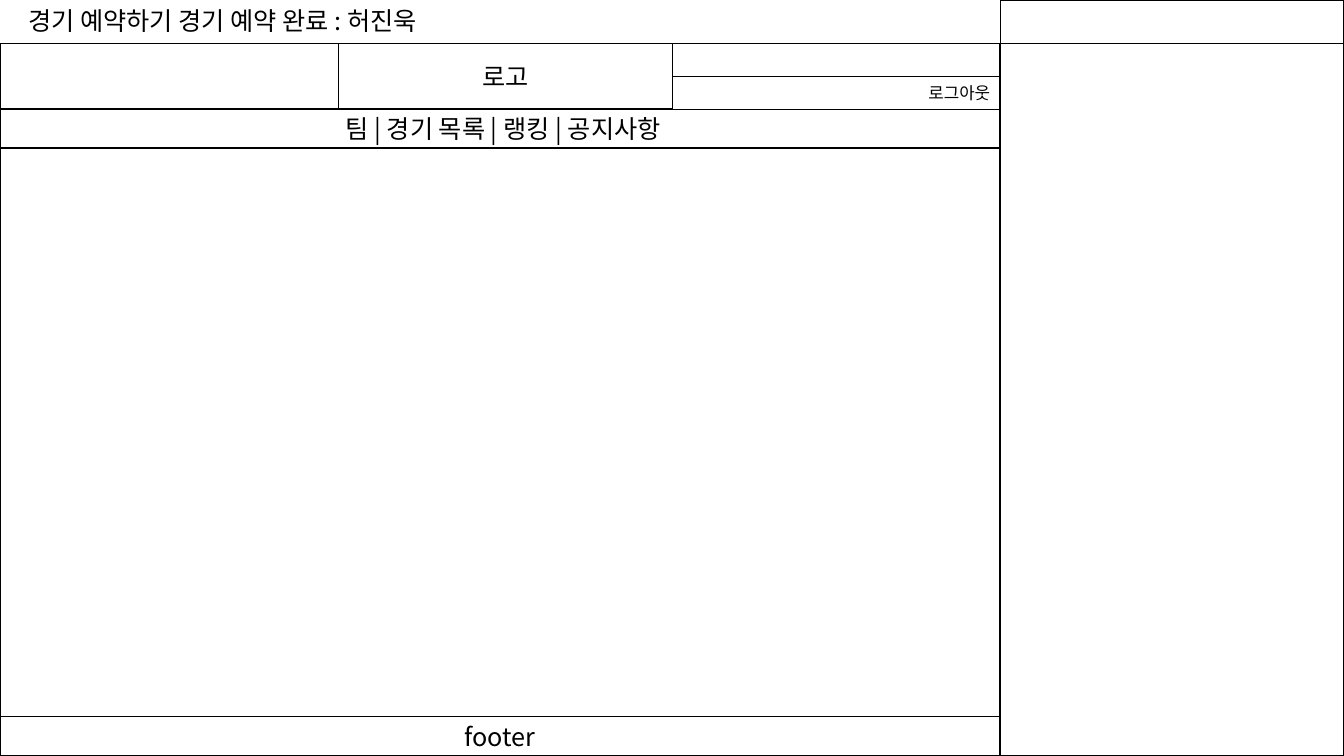
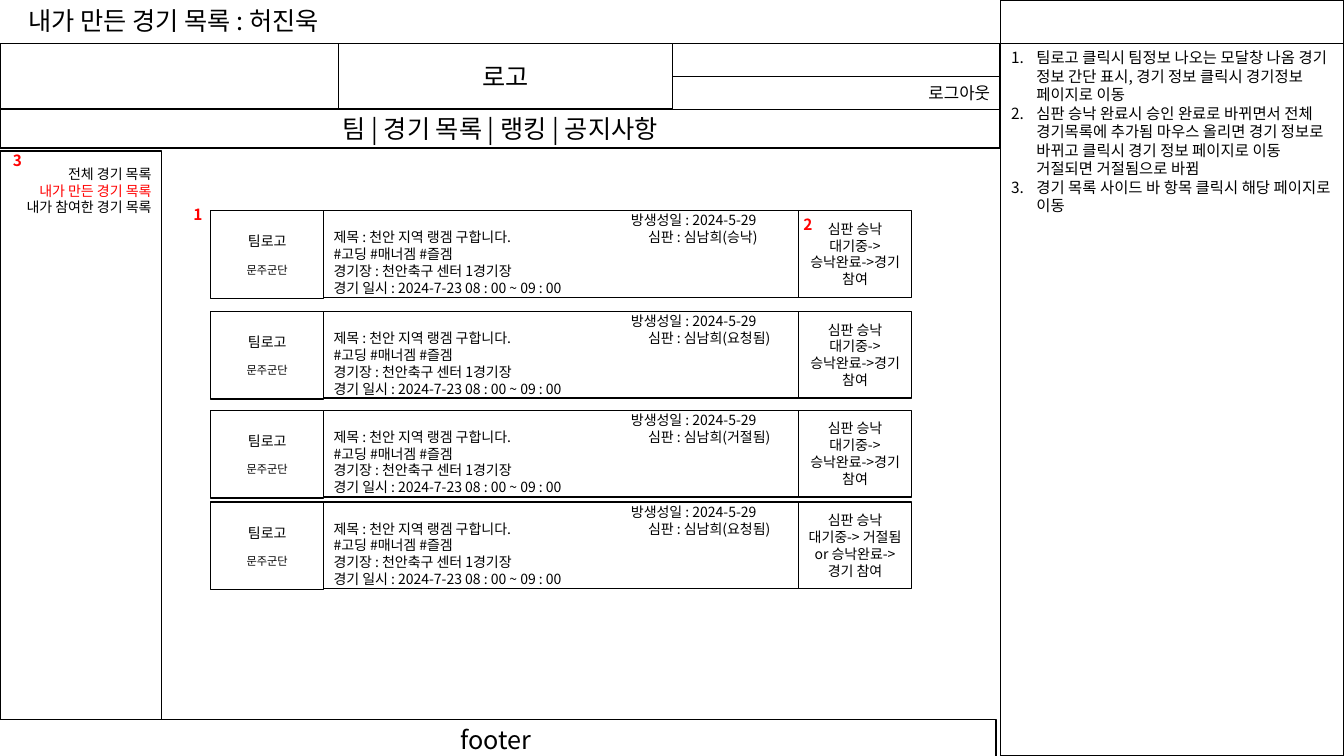
import lxml.etree
import pptx
import pptx.dml.color
import pptx.enum.shapes
import pptx.enum.text
import pptx.oxml.ns
import pptx.util

FONT = "Noto Sans CJK KR"
COLORS = {"ink": "000000", "paper": "FFFFFF", "accent": "FF0000"}
ALIGN = pptx.enum.text.PP_ALIGN
ANCHOR = pptx.enum.text.MSO_ANCHOR

WIDTH, HEIGHT = 13.33, 7.5
MAIN = 9.92
SIDE = WIDTH - MAIN
BAR = 0.43
LOGO = (3.36, 3.31)
HEADER = 0.65
MENU_TOP = BAR + HEADER
MENU = 0.39
BODY_TOP = MENU_TOP + MENU
BODY = 5.64
SIDEBAR = 1.6

MENU_TEXT = "팀 | 경기 목록 | 랭킹 | 공지사항"
PAGES = [
    {"title": "경기 예약하기 경기 예약 완료 : 허진욱",
     "menu_shift": 0.06, "footer": (0, 7.11)},
    {"title": "내가 만든 경기 목록 : 허진욱",
     "menu_shift": 0, "footer": (-0.04, 7.14)},
]

NOTES = [
    "팀로고 클릭시 팀정보 나오는 모달창 나옴 경기 정보 간단 표시, 경기 정보 클릭시 경기정보 페이지로 이동",
    "심판 승낙 완료시 승인 완료로 바뀌면서 전체 경기목록에 추가됨 마우스 올리면 경기 정보로 "
    "바뀌고 클릭시 경기 정보 페이지로 이동 거절되면 거절됨으로 바뀜",
    "경기 목록 사이드 바 항목 클릭시 해당 페이지로 이동",
]
LISTS = [("전체 경기 목록", "ink"), ("내가 만든 경기 목록", "accent"),
         ("내가 참여한 경기 목록", "ink")]

WAITING = "대기중->승낙완료->경기 참여"
MATCHES = [
    (2.09, "승낙", WAITING),
    (3.09, "요청됨", WAITING),
    (4.07, "거절됨", WAITING),
    (4.98, "요청됨", "대기중-> 거절됨 or 승낙완료->경기 참여"),
]
CARD_LEFT, CARD_HEIGHT = 2.09, 0.86
TEAM, INFO, STATUS = 1.12, 4.71, 1.12
DATE_INDENT, REFEREE_TAB = 2.95, 3.12
MARKS = [("3", 0.03, 1.45), ("1", 1.82, 1.99), ("2", 7.87, 2.08)]


def inches(value):
    return pptx.util.Inches(round(value, 2))


def color(name):
    return pptx.dml.color.RGBColor.from_string(COLORS[name])


def apply(target, values):
    for name, value in values.items():
        setattr(target, name, value)


def child(parent, tag, **attributes):
    return lxml.etree.SubElement(parent, pptx.oxml.ns.qn(tag), attributes)


def write(box, lines, size=18, align=ALIGN.LEFT, anchor=ANCHOR.MIDDLE, **insets):
    frame = box.text_frame
    apply(frame, {"word_wrap": True, "vertical_anchor": anchor,
                  "auto_size": pptx.enum.text.MSO_AUTO_SIZE.NONE})
    apply(frame, {name: inches(value) for name, value in insets.items()})
    for index, line in enumerate(lines):
        look = {"size": size, "color": "ink", "bold": False, "after": 0}
        look.update(line if isinstance(line, dict) else {"text": line})
        para = frame.add_paragraph() if index else frame.paragraphs[0]
        apply(para, {"alignment": align, "space_after": pptx.util.Pt(look["after"])})
        span = para.add_run()
        span.text = look["text"]
        apply(span.font, {"name": FONT, "size": pptx.util.Pt(look["size"]),
                          "bold": look["bold"]})
        span.font.color.rgb = color(look["color"])
        child(span.font._element, "a:ea", typeface=FONT)
        props = para._p.get_or_add_pPr()
        if "indent" in look:
            props.set("marL", str(inches(look["indent"])))
        if look.get("numbered"):
            props.set("indent", str(-inches(look["indent"])))
            child(props, "a:buAutoNum", type="arabicPeriod")
        if "tab" in look:
            stops = child(props, "a:tabLst")
            child(stops, "a:tab", pos=str(inches(look["tab"])), algn="l")


def add_panel(page, left, top, width, height, lines=(), **style):
    box = page.shapes.add_shape(pptx.enum.shapes.MSO_SHAPE.RECTANGLE,
                                *map(inches, (left, top, width, height)))
    box.shadow.inherit = False
    box.fill.solid()
    box.fill.fore_color.rgb = color("paper")
    box.line.color.rgb = color("ink")
    box.line.width = pptx.util.Pt(1)
    write(box, lines, **style)
    return box


def add_label(page, left, top, width, height, lines, **style):
    box = page.shapes.add_textbox(*map(inches, (left, top, width, height)))
    write(box, lines, anchor=ANCHOR.TOP, **style)


def add_side_panels(page, layout):
    for top, height in ((BAR, HEIGHT - BAR), (0, BAR)):
        panel = add_panel(page, MAIN, top, SIDE, height)
        layout.shapes.element.append(panel.element)


def add_page(deck, layout, content):
    page = deck.slides.add_slide(layout)
    title = page.shapes.title
    apply(title, dict(zip(("left", "top", "width", "height"),
                          map(inches, (0.18, 0, 4.65, 0.4)))))
    write(title, [content["title"]], anchor=ANCHOR.TOP)
    logo_left, logo_width = LOGO
    account_left = logo_left + logo_width
    add_panel(page, 0, BAR, MAIN, HEADER + MENU)
    add_panel(page, logo_left, BAR, logo_width, HEADER, ["로고"], align=ALIGN.CENTER)
    add_panel(page, 0, MENU_TOP, MAIN, MENU, [MENU_TEXT], align=ALIGN.CENTER,
              margin_left=0.1 + content["menu_shift"])
    add_panel(page, account_left, BAR + HEADER / 2, MAIN - account_left, HEADER / 2,
              ["로그아웃"], size=12, align=ALIGN.RIGHT)
    add_panel(page, *content["footer"], MAIN, MENU, ["footer"], align=ALIGN.CENTER)
    return page


def add_match(page, top, referee, progress):
    info_left = CARD_LEFT + TEAM
    info = [
        {"text": "방생성일 : 2024-5-29", "indent": DATE_INDENT},
        {"text": f"제목 : 천안 지역 랭겜 구합니다.\t심판 : 심남희({referee})",
         "tab": REFEREE_TAB},
        "#고딩 #매너겜 #즐겜",
        "경기장 : 천안축구 센터 1경기장",
        "경기 일시 : 2024-7-23 08 : 00 ~ 09 : 00",
    ]
    team = [{"text": "팀로고", "after": 9.5}, {"text": "문주군단", "size": 8}]
    add_panel(page, info_left, top, INFO, CARD_HEIGHT, info, size=10)
    add_panel(page, info_left + INFO, top, STATUS, CARD_HEIGHT,
              ["심판 승낙", progress], size=10, align=ALIGN.CENTER)
    add_panel(page, CARD_LEFT, top, TEAM, CARD_HEIGHT + 0.01, team, size=10,
              align=ALIGN.CENTER)


def main():
    deck = pptx.Presentation()
    apply(deck, {"slide_width": inches(WIDTH), "slide_height": inches(HEIGHT)})
    layout = deck.slide_layouts[5]
    booking, matches = [add_page(deck, layout, content) for content in PAGES]
    add_side_panels(booking, layout)
    add_panel(booking, 0, BODY_TOP, MAIN, BODY)

    add_label(matches, MAIN + 0.01, BAR, 3.38, 2.14,
              [{"text": note, "indent": 0.25, "numbered": True} for note in NOTES],
              size=11)
    add_panel(matches, 0, 1.5, SIDEBAR, BODY,
              [{"text": text, "color": name} for text, name in LISTS],
              size=10, align=ALIGN.RIGHT, anchor=ANCHOR.TOP, margin_top=0.14)
    for match in MATCHES:
        add_match(matches, *match)
    for number, left, top in MARKS:
        add_label(matches, left, top, 0.38, 0.29,
                  [{"text": number, "color": "accent", "bold": True}], size=11)
    deck.save("out.pptx")


if __name__ == "__main__":
    main()
